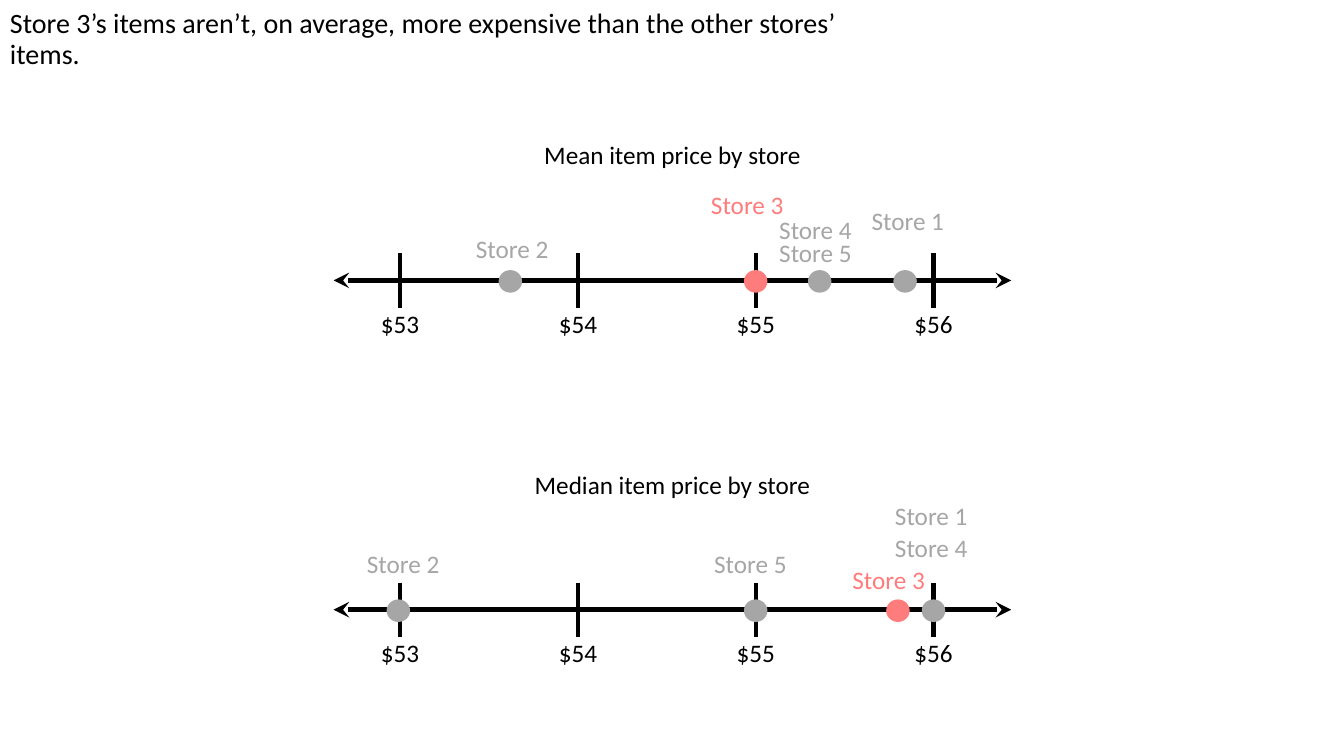
from pptx import Presentation
from pptx.dml.color import RGBColor
from pptx.enum.shapes import MSO_CONNECTOR, MSO_SHAPE
from pptx.enum.text import MSO_ANCHOR, MSO_AUTO_SIZE, PP_ALIGN
from pptx.oxml.ns import qn
from pptx.util import Pt
from lxml import etree

STRAIGHT = MSO_CONNECTOR.STRAIGHT
OVAL = MSO_SHAPE.OVAL
MIDDLE, TOP = MSO_ANCHOR.MIDDLE, MSO_ANCHOR.TOP
LEFT, CENTER = PP_ALIGN.LEFT, PP_ALIGN.CENTER
GROW = MSO_AUTO_SIZE.SHAPE_TO_FIT_TEXT

FONT = "Calibri"
BLACK, GRAY, RED = "000000", "A6A6A6", "FF7C7C"

FIRST_PRICE, LAST_PRICE = 53, 56
FIRST_TICK, DOLLAR = 47.5, 127      # first tick from the axis start, length of $1
AXIS_DROP = 104                     # axis below the top of its panel
TICK_HALF = 19.4
DOT_WIDTH, DOT_HEIGHT = 15.8, 15.1
LABEL_HEIGHT, PRICE_WIDTH, STORE_WIDTH = 29, 42.5, 77

# Each dot: price, colour, labels as (store, offset from dot, offset from axis)
MEAN_DOTS = [
    (55.84, GRAY, [("Store 1", -31, -57)]),
    (53.62, GRAY, [("Store 2", -31.7, -37.4)]),
    (55, RED, [("Store 3", -39, -68.4)]),
    (55.36, GRAY, [("Store 4", -36, -51.1), ("Store 5", -36, -34.6)]),
]
MEDIAN_DOTS = [
    (56, GRAY, [("Store 1", -34.6, -81.4), ("Store 4", -34.6, -59)]),
    (52.99, GRAY, [("Store 2", -29.5, -47.5)]),
    (55.8, RED, [("Store 3", -39.6, -36)]),
    (55, GRAY, [("Store 5", -36.7, -47.5)]),
]


def color(hex_string):
    return RGBColor.from_string(hex_string)


def add_text(shapes, words, box, size=18, ink=BLACK, align=LEFT, anchor=TOP, spacing=None):
    text_box = shapes.add_textbox(*(Pt(length) for length in box))
    frame = text_box.text_frame
    frame.word_wrap = True
    frame.vertical_anchor = anchor
    if anchor == TOP:
        frame.auto_size = GROW
    para = frame.paragraphs[0]
    para.alignment = align
    if spacing:
        para.line_spacing = spacing
    span = para.add_run()
    span.text = words
    span.font.name = FONT
    span.font.size = Pt(size)
    span.font.color.rgb = color(ink)


def add_line(shapes, x1, y1, x2, y2, weight, arrows=False):
    line = shapes.add_connector(STRAIGHT, Pt(x1), Pt(y1), Pt(x2), Pt(y2))
    line.line.color.rgb = color(BLACK)
    line.line.width = Pt(weight)
    properties = line._element.spPr
    etree.SubElement(properties, qn("a:effectLst"))
    if arrows:
        for end in ("a:headEnd", "a:tailEnd"):
            etree.SubElement(properties.find(qn("a:ln")), qn(end), type="stealth")


def add_dot(shapes, x, y, fill):
    dot = shapes.add_shape(OVAL, Pt(x - DOT_WIDTH / 2), Pt(y - DOT_HEIGHT / 2),
                           Pt(DOT_WIDTH), Pt(DOT_HEIGHT))
    dot.shadow.inherit = False
    dot.fill.solid()
    dot.fill.fore_color.rgb = color(fill)
    dot.line.color.rgb = color(fill)
    dot.line.width = Pt(1)


def add_number_line(page, box, title, dots):
    left, top, width = box
    axis = top + AXIS_DROP
    shapes = page.shapes.add_group_shape().shapes

    def price_x(price):
        return left + FIRST_TICK + (price - FIRST_PRICE) * DOLLAR

    # Axis, ticks and prices
    add_line(shapes, left, axis, left + width, axis, 3.75, arrows=True)
    for price in range(FIRST_PRICE, LAST_PRICE + 1):
        x = price_x(price)
        add_line(shapes, x, axis - TICK_HALF, x, axis + TICK_HALF, 3)
        add_text(shapes, f"${price}",
                 (x - PRICE_WIDTH / 2, axis + 16.2, PRICE_WIDTH, LABEL_HEIGHT), align=CENTER)

    # Stores
    for price, fill, labels in dots:
        x = price_x(price)
        add_dot(shapes, x, axis + 0.7, fill)
        for store, across, down in labels:
            add_text(shapes, store, (x + across, axis + down, STORE_WIDTH, LABEL_HEIGHT), ink=fill)

    # Panel title
    add_text(page.shapes, title, (left + width / 2 - 107, top, 214, LABEL_HEIGHT), align=CENTER)


def add_headline(page, box):
    add_text(page.shapes,
             "Store 3’s items aren’t, on average, more expensive than the other stores’ items.",
             box, size=20, anchor=MIDDLE, spacing=0.9)


def main():
    deck = Presentation()
    deck.slide_width, deck.slide_height = Pt(960), Pt(540)
    page = deck.slides.add_slide(deck.slide_layouts[6])
    add_headline(page, (0, 0, 654.5, 57))
    add_number_line(page, (238.3, 96.3, 484), "Mean item price by store", MEAN_DOTS)
    add_number_line(page, (238.3, 331.5, 484), "Median item price by store", MEDIAN_DOTS)
    deck.save("out.pptx")


if __name__ == "__main__":
    main()
